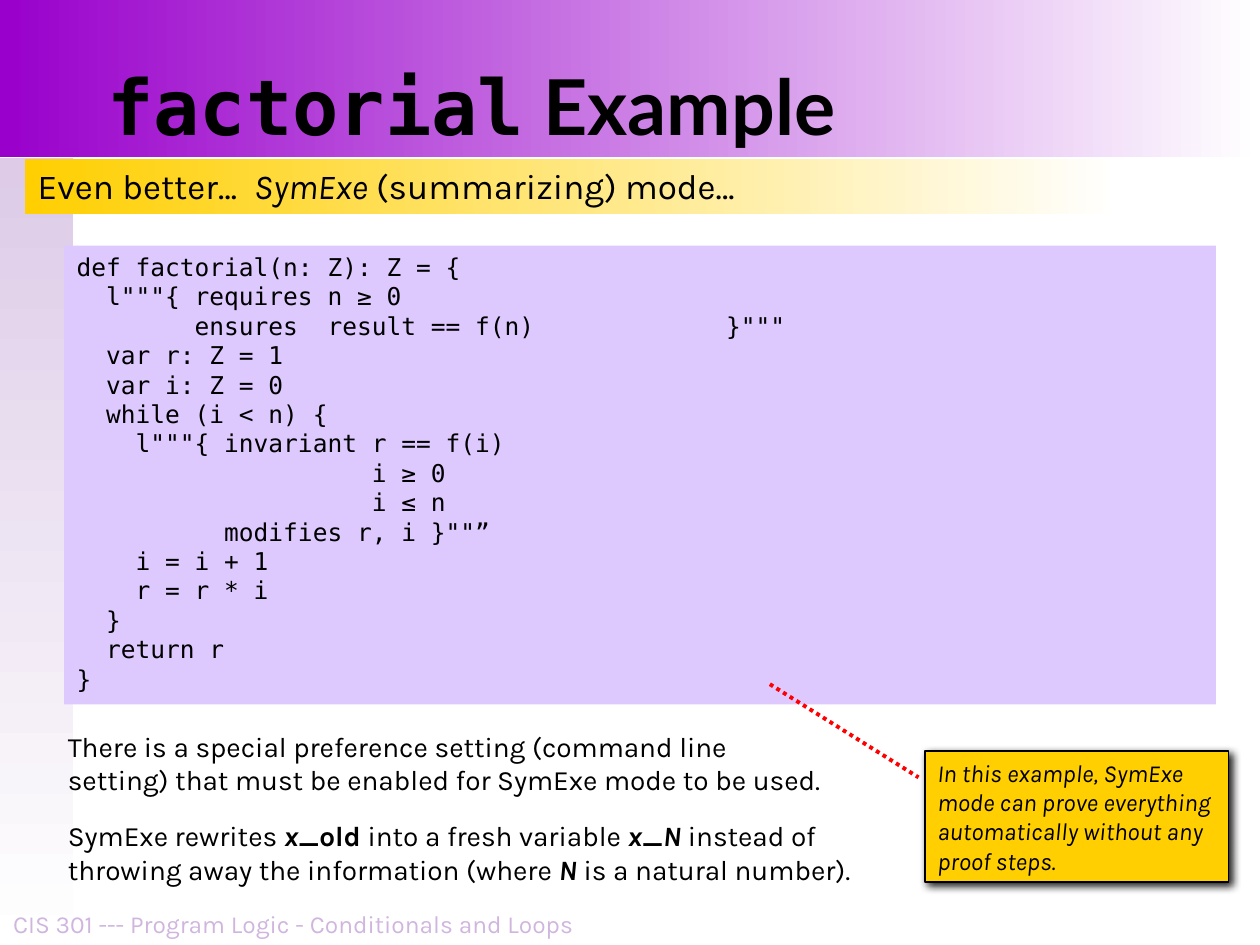
from lxml.etree import SubElement
from pptx import Presentation
from pptx.dml.color import RGBColor
from pptx.enum.dml import MSO_LINE
from pptx.enum.shapes import MSO_CONNECTOR, MSO_SHAPE
from pptx.enum.text import MSO_ANCHOR, MSO_AUTO_SIZE, PP_ALIGN
from pptx.oxml.ns import qn
from pptx.util import Inches, Pt

COLORS = {
    "black": "000000",
    "white": "FFFFFF",
    "purple": "9900CC",
    "lilac": "DDCBE7",
    "footer": "D0B6DE",
    "code": "DEC9FF",
    "gold": "FFCF01",
    "red": "FF0000",
    "shadow": "1C1C1C",
}
MONO, BODY, HEADING = "DejaVu Sans Mono", "Karla", "Lato"
RIGHTWARD, DOWNWARD = 0, 270

CODE = [
    '''def factorial(n: Z): Z = {
  l"""{ requires n ≥ 0
        ensures  result == f(n)             }"""
  var r: Z = 1
  var i: Z = 0''',
    '''  while (i < n) {
    l"""{ invariant r == f(i)
                    i ≥ 0
                    i ≤ n
          modifies r, i }""”
    i = i + 1
    r = r * i
  }''',
    '''  return r
}''',
]
BOLD = {"bold": True}
BOLD_ITALIC = {"bold": True, "italic": True}


def color(name):
    return RGBColor.from_string(COLORS[name])


def write(paragraph, text, font=BODY, size=14, ink="black", bold=False, italic=False):
    """Append text to a paragraph, with a line break at each newline."""
    for number, line in enumerate(text.split("\n")):
        if number:
            paragraph.add_line_break()
        run = paragraph.add_run()
        run.text = line
        run.font.name = font
        run.font.size = Pt(size)
        run.font.bold = bold
        run.font.italic = italic
        run.font.color.rgb = color(ink)


class SlideBuilder:
    def __init__(self, presentation):
        self.slide = presentation.slides.add_slide(presentation.slide_layouts[5])
        self.shapes = self.slide.shapes

    def frame(self, shape, anchor=MSO_ANCHOR.TOP, align=PP_ALIGN.LEFT, wrap=True):
        """Set up the text frame of a shape and return its first paragraph."""
        text_frame = shape.text_frame
        text_frame.word_wrap = wrap
        text_frame.auto_size = MSO_AUTO_SIZE.NONE
        text_frame.vertical_anchor = anchor
        paragraph = text_frame.paragraphs[0]
        paragraph.alignment = align
        return paragraph

    def title(self, left, top, width, height):
        title = self.shapes.title
        title.left, title.top = Inches(left), Inches(top)
        title.width, title.height = Inches(width), Inches(height)
        return title, self.frame(title, MSO_ANCHOR.BOTTOM)

    def box(self, left, top, width, height, fill, gradient_angle=None):
        """Add a rectangle; with an angle, its fill fades to white."""
        shape = self.shapes.add_shape(
            MSO_SHAPE.RECTANGLE, Inches(left), Inches(top), Inches(width), Inches(height))
        shape.shadow.inherit = False
        shape.line.fill.background()
        if gradient_angle is None:
            shape.fill.solid()
            shape.fill.fore_color.rgb = color(fill)
        else:
            shape.fill.gradient()
            shape.fill.gradient_angle = gradient_angle
            for stop, name in zip(shape.fill.gradient_stops, (fill, "white")):
                stop.color.rgb = color(name)
        return shape

    def text(self, left, top, width, height, runs, **layout):
        shape = self.shapes.add_textbox(
            Inches(left), Inches(top), Inches(width), Inches(height))
        paragraph = self.frame(shape, **layout)
        for text, style in runs:
            write(paragraph, text, **style)

    def note(self, left, top, width, height, text):
        """Add an outlined note with a drop shadow."""
        shape = self.box(left, top, width, height, "gold")
        shape.line.color.rgb = color("black")
        shape.line.width = Pt(1)
        effects = shape.element.spPr.find(qn("a:effectLst"))
        shadow = SubElement(effects, qn("a:outerShdw"), blurRad=str(Pt(5)),
                            dist=str(Pt(2.8)), dir="2700000", algn="ctr", rotWithShape="0")
        SubElement(shadow, qn("a:srgbClr"), val=COLORS["shadow"])
        write(self.frame(shape, MSO_ANCHOR.MIDDLE), text, italic=True)
        return shape

    def dotted_line(self, start, end):
        line = self.shapes.add_connector(
            MSO_CONNECTOR.STRAIGHT, *map(Inches, start), *map(Inches, end))
        line.line.color.rgb = color("red")
        line.line.width = Pt(2.25)
        line.line.dash_style = MSO_LINE.ROUND_DOT
        SubElement(line.element.spPr, qn("a:effectLst"))
        return line


def main():
    presentation = Presentation()
    presentation.slide_width, presentation.slide_height = Inches(10), Inches(7.5)
    builder = SlideBuilder(presentation)

    title, heading = builder.title(0.75, 0, 8.92, 1.25)
    write(heading, "factorial", font=MONO, size=44, bold=True)
    write(heading, " Example", font=HEADING, size=44, bold=True)
    sidebar = builder.box(0, 1.25, 0.58, 6.25, "lilac", DOWNWARD)
    header = builder.box(0, 0, 10, 1.25, "purple", RIGHTWARD)
    for backdrop in (sidebar, header):
        title.element.addprevious(backdrop.element)

    builder.text(0, 7.17, 4.66, 0.33,
                 [("CIS 301 --- Program Logic - Conditionals and Loops", {"ink": "footer"})],
                 anchor=MSO_ANCHOR.BOTTOM, align=PP_ALIGN.CENTER, wrap=False)

    subtitle = builder.frame(builder.box(0.2, 1.26, 8.69, 0.44, "gold", RIGHTWARD))
    write(subtitle, "Even better…  ", size=20)
    write(subtitle, "SymExe", size=20, italic=True)
    write(subtitle, " (summarizing) mode…", size=20)

    listing = builder.box(0.51, 1.95, 9.14, 3.64, "code")
    paragraph = builder.frame(listing)
    for number, block in enumerate(CODE):
        if number:
            paragraph = listing.text_frame.add_paragraph()
            paragraph.alignment = PP_ALIGN.LEFT
        write(paragraph, block, font=MONO)

    note = builder.note(
        7.34, 5.96, 2.41, 1.04,
        "In this example, SymExe mode can prove everything automatically "
        "without any proof steps.")
    pointer = builder.dotted_line((6.11, 5.43), (7.29, 6.17))
    builder.shapes.add_group_shape([note, pointer])

    remarks = [
        (5.74, 6.23, [
            ("There is a special preference setting (command line setting) "
             "that must be enabled for SymExe mode to be used.", {})]),
        (6.45, 6.71, [
            ("SymExe rewrites ", {}), ("x", BOLD_ITALIC), ("_old", BOLD),
            (" into a fresh variable ", {}), ("x", BOLD_ITALIC), ("_", BOLD),
            ("N", BOLD_ITALIC),
            (" instead of throwing away the information (where ", {}),
            ("N", BOLD_ITALIC), (" is a natural number).", {})]),
    ]
    for top, width, runs in remarks:
        builder.text(0.44, top, width, 0.64,
                     [(text, {"size": 16, **style}) for text, style in runs])

    presentation.save("out.pptx")


if __name__ == "__main__":
    main()
